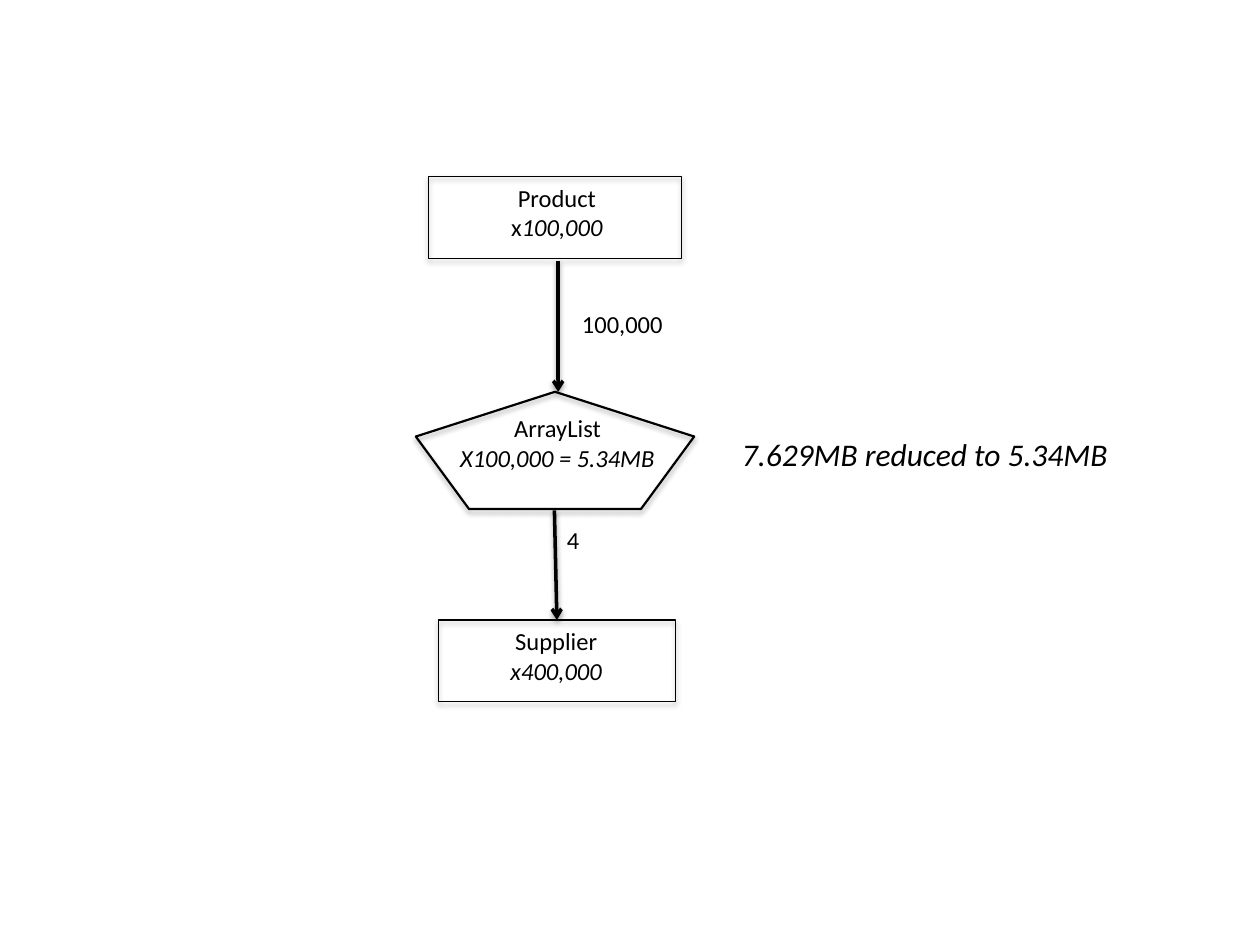
from lxml.etree import SubElement
from pptx import Presentation
from pptx.dml.color import RGBColor
from pptx.enum.shapes import MSO_CONNECTOR, MSO_SHAPE
from pptx.enum.text import MSO_AUTO_SIZE, PP_ALIGN
from pptx.oxml.ns import qn
from pptx.util import Inches, Pt

BLACK = RGBColor(0, 0, 0)
COLUMNS, ROWS = 100, 75
WIDTH, HEIGHT = Inches(10), Inches(7.5)


def col(n):
    return round(WIDTH * n / COLUMNS)


def row(n):
    return round(HEIGHT * n / ROWS)


def grid(left, top, width, height):
    return col(left), row(top), col(width), row(height)


def add_shadow(s, distance, opacity):
    effects = SubElement(s._element.spPr, qn("a:effectLst"))
    shadow = SubElement(effects, qn("a:outerShdw"), blurRad=str(Pt(3.1)),
                        dist=str(Pt(distance)), dir="5400000", rotWithShape="0")
    color = SubElement(shadow, qn("a:srgbClr"), val=str(BLACK))
    SubElement(color, qn("a:alpha"), val=str(opacity * 1000))


def add_node(shapes, kind, box, weight=0.75):
    s = shapes.add_shape(kind, *grid(*box))
    s.fill.background()
    s.line.color.rgb = BLACK
    s.line.width = Pt(weight)
    add_shadow(s, 1.8, 35)
    return s


def add_arrow(shapes, start, end, target=None):
    s = shapes.add_connector(MSO_CONNECTOR.STRAIGHT, col(start[0]), row(start[1]),
                             col(end[0]), row(end[1]))
    if target is not None:
        s.end_connect(target, 0)
    s.line.color.rgb = BLACK
    s.line.width = Pt(2)
    SubElement(s.line._get_or_add_ln(), qn("a:tailEnd"), type="arrow")
    add_shadow(s, 1.6, 38)


def add_text(shapes, box, *lines, size=14, italic=False, align=PP_ALIGN.CENTER):
    tf = shapes.add_textbox(*grid(*box)).text_frame
    tf.word_wrap = False
    tf.auto_size = MSO_AUTO_SIZE.SHAPE_TO_FIT_TEXT
    for i, line in enumerate(lines):
        p = tf.add_paragraph() if i else tf.paragraphs[0]
        p.alignment = align
        runs = [(line, italic)] if isinstance(line, str) else line
        for text, slanted in runs:
            r = p.add_run()
            r.text = text
            r.font.name = "Calibri"
            r.font.size = Pt(size)
            r.font.italic = slanted
            r.font.color.rgb = BLACK


def main():
    prs = Presentation()
    prs.slide_width, prs.slide_height = WIDTH, HEIGHT
    shapes = prs.slides.add_slide(prs.slide_layouts[6]).shapes

    add_node(shapes, MSO_SHAPE.REGULAR_PENTAGON, (33, 31.1, 22.1, 9.3), weight=1.25)
    supplier = add_node(shapes, MSO_SHAPE.RECTANGLE, (34.8, 49.2, 18.8, 6.5))
    add_node(shapes, MSO_SHAPE.RECTANGLE, (34, 14, 20.1, 6.5))

    add_arrow(shapes, (44.3, 20.7), (44.3, 31.1))
    add_arrow(shapes, (44, 40.5), (44.2, 49.2), target=supplier)

    add_text(shapes, (37.6, 14, 13.2, 5.7), "Product", [("x", False), ("100,000", True)])
    add_text(shapes, (35.2, 32.3, 18.1, 5.7), "ArrayList", [("X100,000 = 5.34MB", True)])
    add_text(shapes, (36.8, 49.2, 14.7, 5.7), "Supplier", [("x400,000", True)])
    add_text(shapes, (45.2, 24, 8.5, 3.4), "100,000", align=PP_ALIGN.LEFT)
    add_text(shapes, (44, 41.2, 3, 3.4), "4", align=PP_ALIGN.LEFT)
    add_text(shapes, (57.9, 34, 31.5, 4), "7.629MB reduced to 5.34MB",
             size=18, italic=True, align=PP_ALIGN.LEFT)

    prs.save("out.pptx")


if __name__ == "__main__":
    main()
